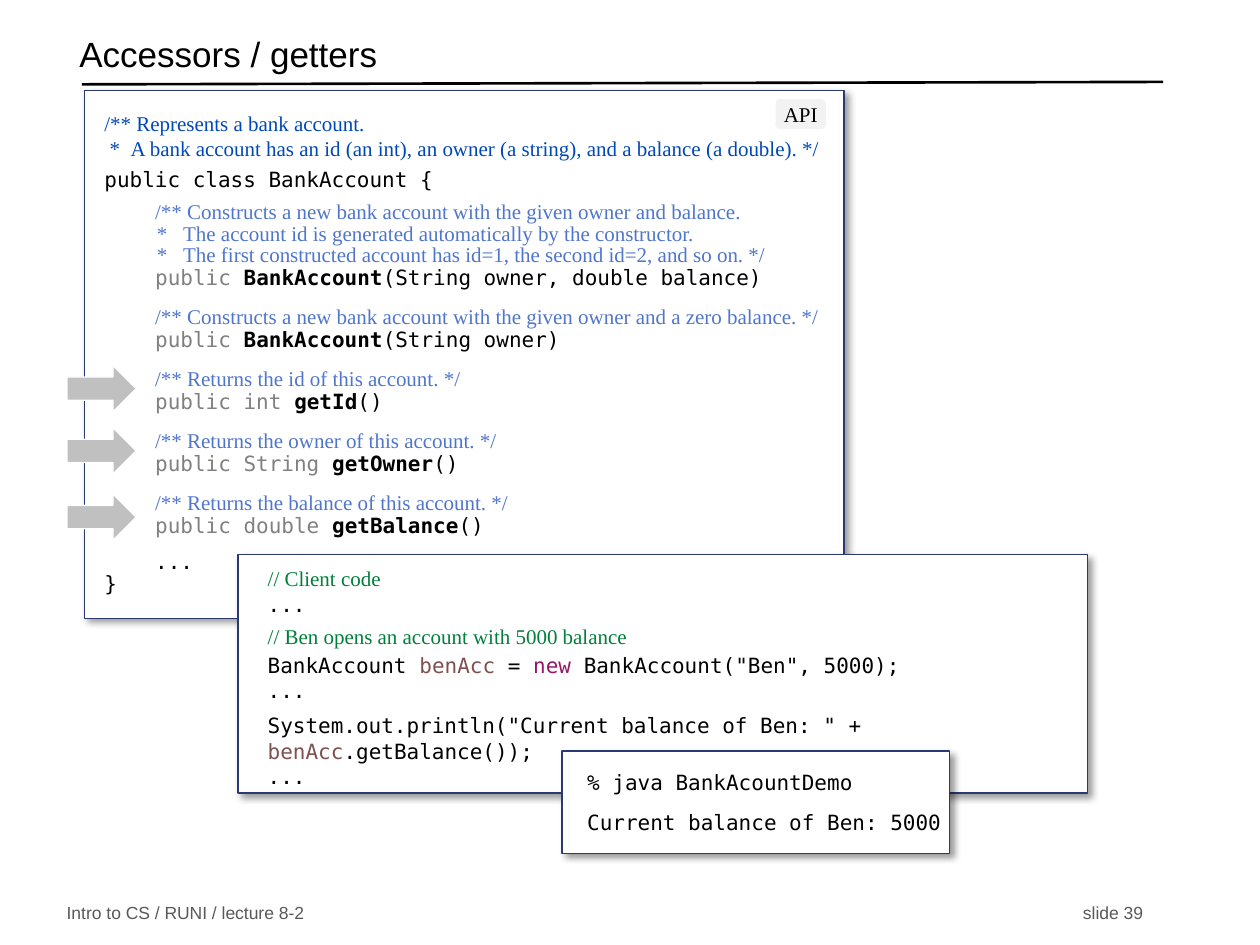
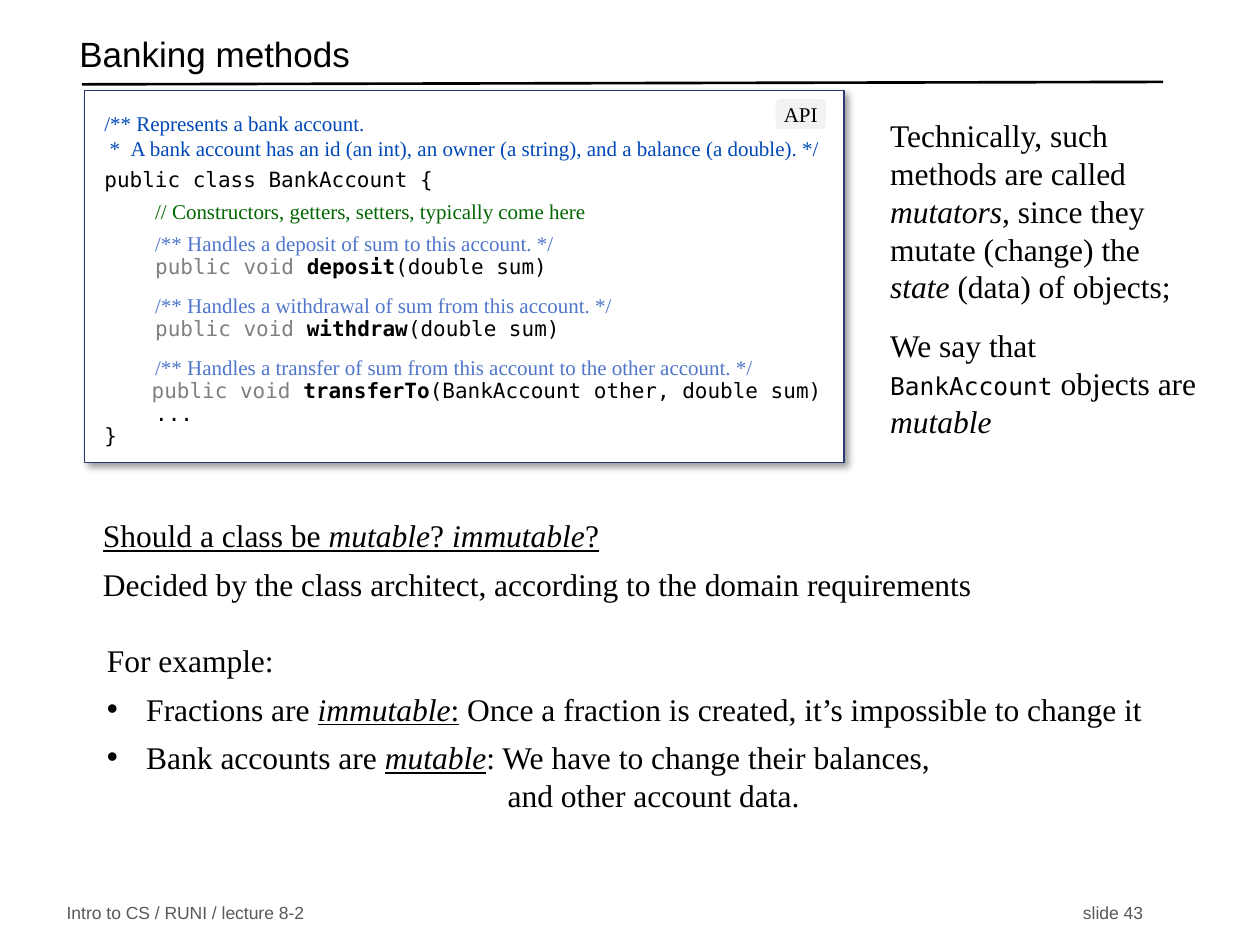
from dataclasses import dataclass

from lxml.etree import SubElement
from pptx import Presentation
from pptx.dml.color import RGBColor
from pptx.enum.shapes import MSO_CONNECTOR, MSO_SHAPE as Preset
from pptx.enum.text import MSO_ANCHOR as Anchor, PP_ALIGN as Align
from pptx.oxml.ns import qn
from pptx.util import Pt


# ---------- Content ----------

def method(modifiers, name, parameters, kind="method"):
    return kind, (modifiers + " ", "modifier"), (name, "name"), parameters


CLASS_HEAD = [
    ("head", "/** Represents a bank account."),
    ("head star", "*\tA bank account has an id (an int), an owner (a string), "
                  "and a balance (a double). */"),
    ("class", "public class BankAccount {"),
]
GETTERS_API = CLASS_HEAD + [
    ("first doc", "/** Constructs a new bank account with the given owner and balance."),
    ("doc star", "*\tThe account id is generated automatically by the constructor."),
    ("doc star", "*\tThe first constructed account has id=1, the second id=2, and so on. */"),
    method("public", "BankAccount", "(String owner, double balance)"),
    ("doc", "/** Constructs a new bank account with the given owner and a zero balance. */"),
    method("public", "BankAccount", "(String owner)"),
    ("doc", "/** Returns the id of this account. */"),
    method("public int", "getId", "()"),
    ("doc", "/** Returns the owner of this account. */"),
    method("public String", "getOwner", "()"),
    ("doc", "/** Returns the balance of this account. */"),
    method("public double", "getBalance", "()"),
    ("ellipsis", "..."),
    ("brace", "}"),
]
BANKING_API = CLASS_HEAD + [
    ("note", "// Constructors, getters, setters, typically come here"),
    ("first doc", "/** Handles a deposit of sum to this account. */"),
    method("public void", "deposit", "(double sum)"),
    ("doc", "/** Handles a withdrawal of sum from this account. */"),
    method("public void", "withdraw", "(double sum)"),
    ("doc", "/** Handles a transfer of sum from this account to the other account. */"),
    method("public void", "transferTo", "(BankAccount other, double sum)", "long method"),
    ("method", "..."),
    ("brace", "}"),
]
CLIENT_CODE = [
    ("remark", "// Client code"),
    ("code", "..."),
    ("remark", "// Ben opens an account with 5000 balance"),
    ("spaced code", "BankAccount ", ("benAcc", "variable"), " = ", ("new ", "keyword"),
     'BankAccount("Ben", 5000);'),
    ("code", "..."),
    ("print", 'System.out.println("Current balance of Ben: " + ',
     ("benAcc", "variable"), ".getBalance());"),
    ("code", "..."),
]
CONSOLE = [
    ("output", "% java BankAcountDemo"),
    ("output", "Current balance of Ben: 5000"),
]
MUTATORS = [
    ("aside", "Technically, such methods are called ", ("mutators", "term"),
     ", since they mutate (change) the ", ("state", "term"), " (data) of objects;"),
    ("aside", "We say that ", ("BankAccount", "inline code"), " objects are ",
     ("mutable", "term")),
]
QUESTION = [
    ("body", ("Should a class be ", "underlined"), ("mutable", "key term"),
     ("? ", "underlined"), ("immutable", "key term"), ("?", "underlined")),
    ("body", "Decided by the class architect, according to the domain requirements"),
]
EXAMPLES = [
    ("body", "For example:"),
    ("bullet", "Fractions are ", ("immutable", "key term"), (":", "underlined"),
     " Once a fraction is created, it’s impossible to change it"),
    ("bullet", "Bank accounts are ", ("mutable", "key term"),
     ": We have to change their balances,"),
    ("continued", "and other account data."),
]
COURSE = "Intro to CS / RUNI / lecture 8-2"


# ---------- Theme ----------

@dataclass(frozen=True)
class Theme:
    sans: str = "Arial"
    serif: str = "Times New Roman"
    mono: str = "DejaVu Sans Mono"
    title_size: float = 20
    body_size: float = 18
    inline_size: float = 14
    code_size: float = 12
    footer_size: float = 10
    black: str = "000000"
    white: str = "FFFFFF"
    frame: str = "293973"
    badge: str = "F2F2F2"
    arrow: str = "C0C0C0"
    footer: str = "595959"
    head: str = "0048B7"
    doc: str = "4F76CB"
    note: str = "006600"
    remark: str = "007F3A"
    modifier: str = "808080"
    variable: str = "7E504F"
    keyword: str = "931968"


THEME = Theme()


@dataclass(frozen=True)
class Kind:
    """Look of a paragraph; lengths in points."""
    font: str = THEME.mono
    size: float = THEME.code_size
    color: str = THEME.black
    before: float = 0
    spacing: object = None
    left: float = 0
    first: float = 0
    bullet: str = ""
    align: object = Align.LEFT


MEMBER = 29
DOC = dict(font=THEME.serif, color=THEME.doc, left=MEMBER)
HEAD = dict(font=THEME.serif, color=THEME.head)
BODY = dict(font=THEME.serif, size=THEME.body_size)
FOOTER = dict(font=THEME.sans, size=THEME.footer_size, color=THEME.footer)
KINDS = {
    "title": Kind(THEME.sans, THEME.title_size, spacing=0.7),
    "footer": Kind(**FOOTER),
    "page number": Kind(**FOOTER, align=Align.RIGHT),
    "badge": Kind(THEME.serif, align=Align.CENTER),
    "head": Kind(**HEAD),
    "head star": Kind(**HEAD, left=15, first=-12),
    "class": Kind(before=3),
    "first doc": Kind(**DOC, before=6, spacing=Pt(12.4)),
    "doc star": Kind(**DOC | {"left": 45}, first=-15, spacing=Pt(12.4)),
    "doc": Kind(**DOC, before=8),
    "note": Kind(**DOC | {"color": THEME.note}, before=6, spacing=Pt(12.4)),
    "method": Kind(before=1, spacing=Pt(12), left=MEMBER),
    "long method": Kind(before=1, spacing=Pt(12), left=27),
    "ellipsis": Kind(before=6, left=MEMBER),
    "brace": Kind(before=1, spacing=Pt(12)),
    "remark": Kind(THEME.serif, color=THEME.remark, before=4),
    "code": Kind(),
    "spaced code": Kind(before=2),
    "print": Kind(before=6),
    "output": Kind(before=8),
    "aside": Kind(**BODY, before=12),
    "body": Kind(**BODY, before=6),
    "bullet": Kind(**BODY, before=6, left=22.5, first=-22.5, bullet="•"),
    "continued": Kind(**BODY, left=229),
}
SPAN_STYLES = {
    "modifier": dict(color=THEME.modifier),
    "variable": dict(color=THEME.variable),
    "keyword": dict(color=THEME.keyword),
    "name": dict(bold=True),
    "term": dict(italic=True),
    "underlined": dict(underline=True),
    "key term": dict(italic=True, underline=True),
    "inline code": dict(name=THEME.mono, size=Pt(THEME.inline_size)),
}


# ---------- Building blocks ----------

def style_font(font, color=None, **settings):
    for setting, value in settings.items():
        setattr(font, setting, value)
    if color:
        font.color.rgb = RGBColor.from_string(color)


def write(box, paragraphs, insets=(7.2, 3.6, 7.2, 3.6), anchor=Anchor.TOP):
    frame = box.text_frame
    frame.word_wrap = True
    frame.vertical_anchor = anchor
    frame.margin_left, frame.margin_top, frame.margin_right, frame.margin_bottom = map(Pt, insets)
    for index, (kind_name, *spans) in enumerate(paragraphs):
        kind = KINDS[kind_name]
        para = frame.add_paragraph() if index else frame.paragraphs[0]
        properties = para._p.get_or_add_pPr()
        properties.set("marL", str(Pt(kind.left)))
        properties.set("indent", str(Pt(kind.first)))
        if kind.bullet:
            SubElement(properties, qn("a:buFont"), typeface=THEME.sans)
            SubElement(properties, qn("a:buChar"), char=kind.bullet)
        para.alignment = kind.align
        para.space_before = Pt(kind.before if index else 0)
        if kind.spacing:
            para.line_spacing = kind.spacing
        style_font(para.font, kind.color, name=kind.font, size=Pt(kind.size))
        for item in spans:
            text, style = (item, None) if isinstance(item, str) else item
            span = para.add_run()
            span.text = text
            if style:
                style_font(span.font, **SPAN_STYLES[style])


def add_text(page, place, paragraphs, **layout):
    write(page.shapes.add_textbox(*map(Pt, place)), paragraphs, **layout)


def add_block(page, preset, place, fill, line):
    box = page.shapes.add_shape(preset, *map(Pt, place))
    box.shadow.inherit = False
    box.fill.solid()
    box.fill.fore_color.rgb = RGBColor.from_string(fill)
    box.line.color.rgb = RGBColor.from_string(line)
    box.line.width = Pt(0.75)
    return box


def add_card(page, place, paragraphs, insets):
    """Framed white panel with a soft shadow to the lower right."""
    card = add_block(page, Preset.RECTANGLE, place, THEME.white, THEME.frame)
    effects = card._element.spPr.find(qn("a:effectLst"))
    shadow = SubElement(effects, qn("a:outerShdw"), blurRad=str(Pt(4)), dist=str(Pt(3)),
                        dir=str(45 * 60000), algn="tl", rotWithShape="0")
    color = SubElement(shadow, qn("a:srgbClr"), val=THEME.black)
    SubElement(color, qn("a:alpha"), val="40000")
    write(card, paragraphs, insets)


def add_api(page, height, paragraphs):
    add_card(page, (48.2, 51.8, 434.2, height), paragraphs, (11.5, 11.5, 0, 0))
    badge = add_block(page, Preset.ROUNDED_RECTANGLE, (442.8, 56.2, 29.5, 18),
                      THEME.badge, THEME.white)
    write(badge, [("badge", "API")], (0, 3.6, 0, 3.6), Anchor.MIDDLE)


def add_page(deck, title, number):
    page = deck.slides.add_slide(deck.slide_layouts[6])
    rule = page.shapes.add_connector(MSO_CONNECTOR.STRAIGHT,
                                     *map(Pt, (46.8, 48.2, 664.6, 46.8)))
    rule.line.color.rgb = RGBColor.from_string(THEME.black)
    rule.line.width = Pt(1.5)
    SubElement(rule._element.spPr, qn("a:effectLst"))
    add_text(page, (31, 514, 300, 15), [("footer", COURSE)], anchor=Anchor.MIDDLE)
    add_text(page, (560, 514, 100.2, 15), [("page number", f"slide {number}")],
             anchor=Anchor.MIDDLE)
    add_text(page, (38.2, 15.8, 619, 36), [("title", title)], anchor=Anchor.MIDDLE)
    return page


# ---------- Slides ----------

def build_getters(deck):
    page = add_page(deck, "Accessors / getters", 39)
    add_api(page, 301.7, GETTERS_API)
    for top in (208.8, 244.4, 282.2):
        add_block(page, Preset.RIGHT_ARROW, (38.2, top, 39.6, 26.6), THEME.arrow, THEME.white)
    add_card(page, (136, 316.9, 485.3, 136.2), CLIENT_CODE, (17, 6.5, 0, 0))
    add_card(page, (321.2, 429.2, 221.6, 58.4), CONSOLE, (14.4, 10.8, 0, 9.4))


def build_banking(deck):
    page = add_page(deck, "Banking methods", 43)
    add_text(page, (501.6, 57.6, 187, 202.3), MUTATORS,
             insets=(7.2, 3.6, 0, 3.6), anchor=Anchor.MIDDLE)
    add_text(page, (54, 362.9, 617, 78.5), EXAMPLES)
    add_text(page, (51.8, 282.2, 587.5, 74.9), QUESTION,
             insets=(7.2, 3.6, 0, 3.6), anchor=Anchor.MIDDLE)
    add_api(page, 212.4, BANKING_API)


def main():
    deck = Presentation()
    deck.slide_width, deck.slide_height = Pt(720), Pt(540)
    build_getters(deck)
    build_banking(deck)
    deck.save("out.pptx")


if __name__ == "__main__":
    main()
